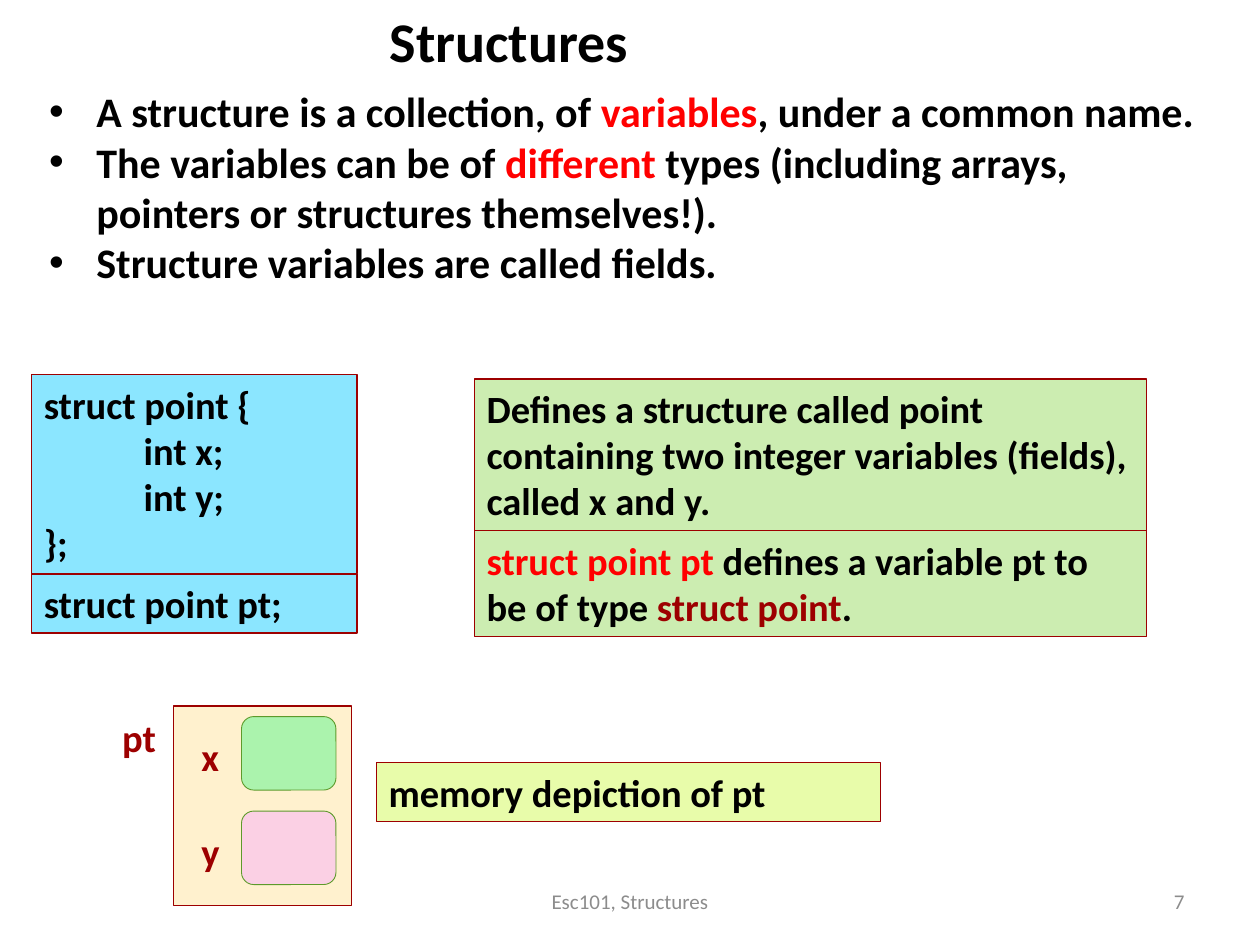
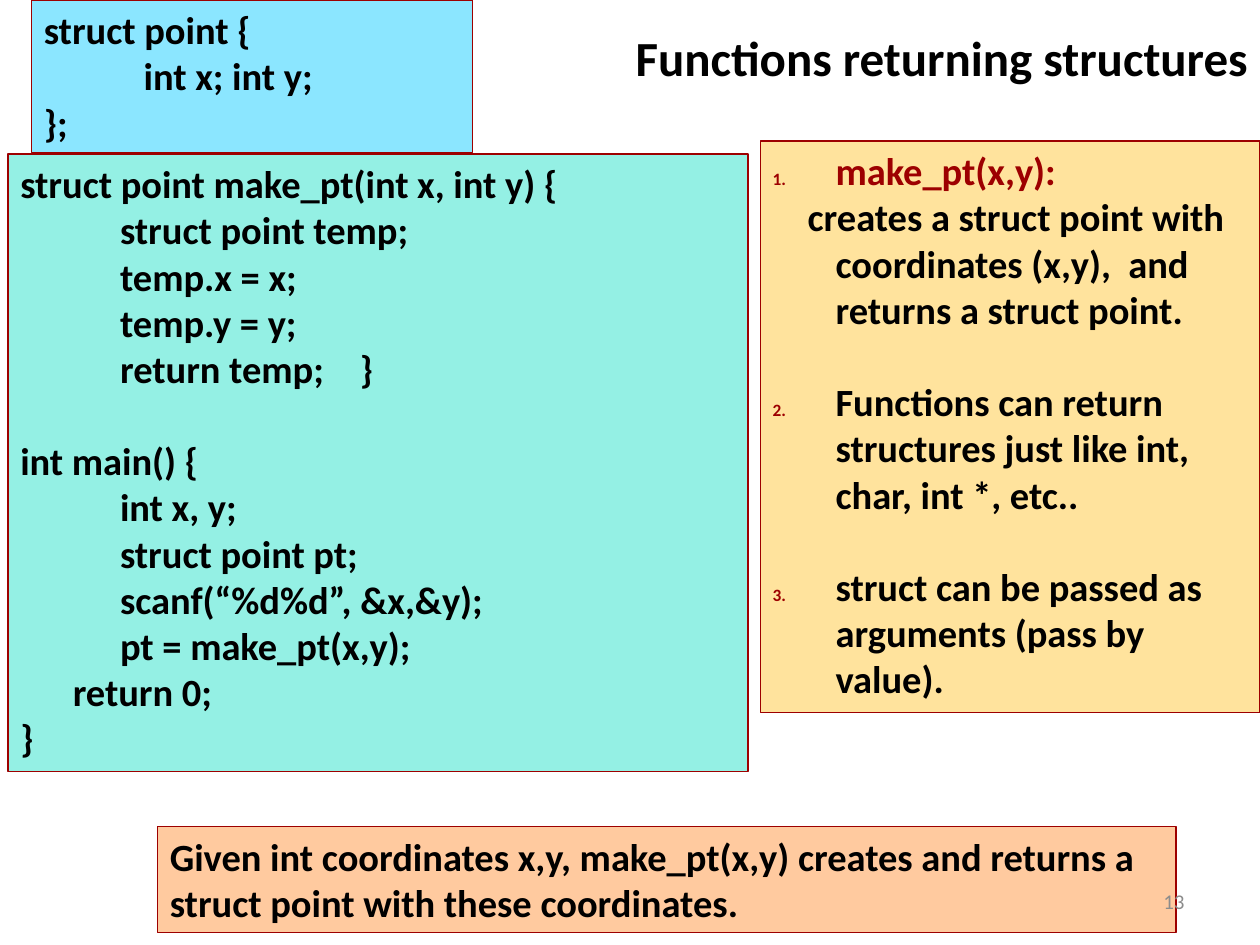
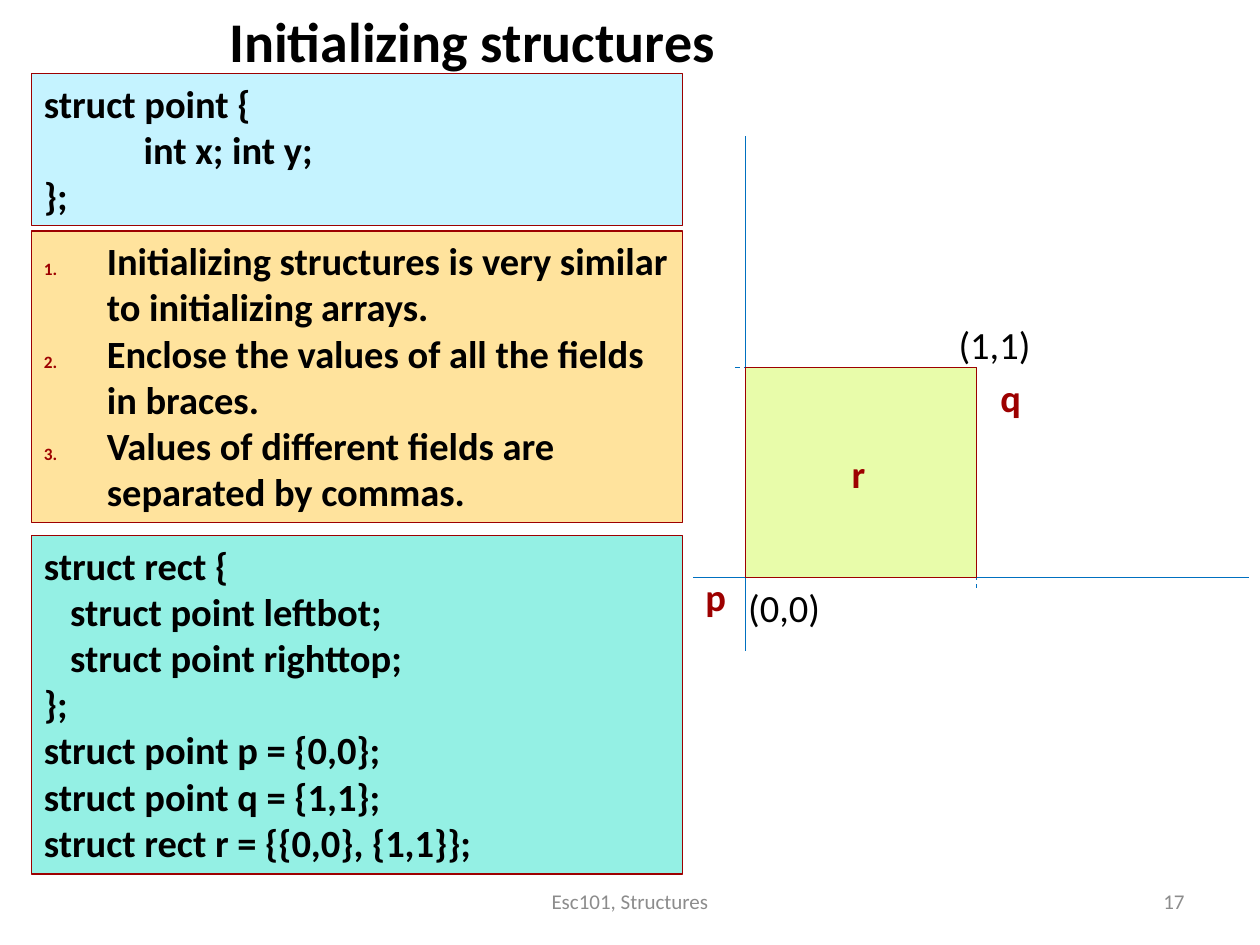
from dataclasses import dataclass
from lxml.etree import SubElement
from pptx import Presentation
from pptx.dml.color import RGBColor
from pptx.enum.dml import MSO_LINE
from pptx.enum.shapes import MSO_CONNECTOR, MSO_SHAPE
from pptx.enum.text import MSO_ANCHOR, MSO_AUTO_SIZE, PP_ALIGN
from pptx.oxml.ns import qn
from pptx.util import Pt


@dataclass(frozen=True)
class Theme:
    font: str = "Calibri"
    black: str = "000000"
    red: str = "FF0000"
    maroon: str = "9D0000"
    gray: str = "8C8C8C"
    blue: str = "0070C0"
    leaf: str = "5D9A2B"
    sky: str = "8BE6FF"
    pale_sky: str = "C5F3FF"
    green: str = "CCEDB1"
    teal: str = "94F0E4"
    amber: str = "FFE39D"
    cream: str = "FFF1CE"
    peach: str = "FFCA9F"
    lime: str = "E8FCAA"
    mint: str = "ABF3AD"
    pink: str = "FBD0E4"
    title: int = 32
    small_title: int = 28
    bullet: int = 24
    body: int = 22
    footer: int = 12
    line_height: float = 26.6
    padding: float = 7.2
    border: float = 0.75
    thin: float = 0.5


@dataclass(frozen=True)
class Line:
    runs: tuple
    tabs: tuple = ()
    marker: str = ""
    start: int = 1
    margin: float = 0
    indent: float = 0
    before: float = 0


theme = Theme()
CODE_TABS = (57, 194)


def code(*texts, tabs=CODE_TABS):
    return [Line(((text, theme.black),), tabs=tabs if "\t" in text else ()) for text in texts]


def numbered(text, color=theme.black, start=1, before=0):
    return Line(((text, color),), marker="number", start=start, margin=36, indent=-36, before=before)


def bullet(*runs):
    return Line(runs, marker="dot", margin=27, indent=-27)


FOOTER = "Esc101, Structures"
POINT = code("struct point {", "\tint x; int y;", "};")

SLIDES = [
    {
        "title": ("Structures", 186, 0, 210, theme.title, PP_ALIGN.CENTER),
        "number": "7",
        "footer": True,
        "boxes": [
            (271, 216.5, 384, 3, theme.green, code(
                "Defines a structure called point containing two integer variables (fields), called x and y.")),
            (18, 214, 186, 4, theme.sky, code("struct point {", "\tint x;", "\tint y;", "};")),
            (18, 328, 186, 1, theme.sky, code("struct point pt;")),
            (271, 303.3, 384, 2, theme.green, [Line((
                ("struct point pt", theme.red), (" defines a variable pt to be of type ", theme.black),
                ("struct point", theme.maroon), (".", theme.black)))]),
            (215, 435.8, 288, 1, theme.lime, code("memory depiction of pt")),
        ],
    },
    {
        "title": ("Functions returning structures", 264, 12, 456, theme.small_title, PP_ALIGN.RIGHT),
        "number": "13",
        "footer": False,
        "boxes": [
            (18, 0, 252, 3, theme.sky, POINT),
            (4.5, 88, 423, 13, theme.teal, [
                *code("struct point make_pt(int x, int y) {", "\tstruct point temp;", "\ttemp.x = x;",
                      "\ttemp.y = y;", "\treturn temp;\t}"),
                Line((("int main() {", theme.black),), before=26.4),
                *code("\tint x, y;", "\tstruct point pt;", "\tscanf(“%d%d”, &x,&y);", "\tpt = make_pt(x,y);"),
                *code("\treturn 0;", tabs=(30,)),
                *code("}"),
            ]),
            (434.4, 80.6, 285.6, 12, theme.amber, [
                numbered("make_pt(x,y):", theme.maroon),
                Line((("creates a struct point with coordinates (x,y),  and returns a struct point.",
                       theme.black),), margin=36, indent=-16),
                numbered("Functions can return structures just like int, char, int *, etc..", start=2, before=26.4),
                numbered("struct can be passed as arguments (pass by value).", start=2, before=26.4),
            ]),
            (90, 472.4, 582, 2, theme.peach, code(
                "Given int coordinates x,y, make_pt(x,y) creates and returns a struct point with these coordinates.")),
        ],
    },
    {
        "title": ("Initializing structures", 0, 0, 540, theme.title, PP_ALIGN.CENTER),
        "number": "17",
        "footer": True,
        "boxes": [
            (18, 42, 372, 3, theme.pale_sky, POINT),
            (18, 132, 372, 6, theme.amber, [
                numbered("Initializing structures is very similar to initializing arrays."),
                numbered("Enclose the values of all the fields in braces."),
                numbered("Values of different fields are separated by commas."),
            ]),
            (18, 306, 372, 7, theme.teal, [
                *code("struct rect {"),
                *code("\tstruct point leftbot;", "\tstruct point righttop;", tabs=(15,)),
                *code("};", "struct point p = {0,0};", "struct point q = {1,1};",
                      "struct rect r = {{0,0}, {1,1}};"),
            ]),
        ],
    },
]

BULLETS = [
    bullet(("A structure is a collection, of ", theme.black), ("variables", theme.red),
           (", under a common name.", theme.black)),
    bullet(("The variables can be of ", theme.black), ("different", theme.red),
           (" types (including arrays, pointers or structures themselves!).", theme.black)),
    bullet(("Structure variables are called fields.", theme.black)),
]
FIELDS = [("x", theme.mint), ("y", theme.pink)]
ORIGIN = (426, 330)
CORNER = (558, 210)
PLOT_LABELS = [
    ("p", 396, 324, 26, theme.maroon, True),
    ("(0,0)", 420.5, 330, 55.5, theme.black, False),
    ("(1,1)", 540.7, 180, 56, theme.black, False),
    ("q", 564.5, 210, 26, theme.maroon, True),
    ("r", 479.5, 253.5, 22.3, theme.maroon, True),
]


def points(*lengths):
    return [Pt(length) for length in lengths]


def format_paragraph(paragraph, line):
    properties = paragraph._p.get_or_add_pPr()
    if line.before:
        paragraph.space_before = Pt(line.before)
    if line.margin:
        properties.set("marL", str(Pt(line.margin)))
        properties.set("indent", str(Pt(line.indent)))
    if line.marker == "number":
        color = SubElement(properties, qn("a:buClr"))
        SubElement(color, qn("a:srgbClr"), val=theme.maroon)
        SubElement(properties, qn("a:buSzPct"), val="45000")
        number = SubElement(properties, qn("a:buAutoNum"), type="arabicPeriod")
        if line.start > 1:
            number.set("startAt", str(line.start))
    elif line.marker == "dot":
        SubElement(properties, qn("a:buFont"), typeface="Arial")
        SubElement(properties, qn("a:buChar"), char="•")
    if line.tabs:
        stops = SubElement(properties, qn("a:tabLst"))
        for stop in line.tabs:
            SubElement(stops, qn("a:tab"), pos=str(Pt(stop)), algn="l")


def write(shape, lines, size=theme.body, bold=True, align=PP_ALIGN.LEFT, wrap=True, grow=True):
    frame = shape.text_frame
    frame.word_wrap = wrap
    frame.auto_size = MSO_AUTO_SIZE.SHAPE_TO_FIT_TEXT if grow else MSO_AUTO_SIZE.NONE
    frame.vertical_anchor = MSO_ANCHOR.TOP if grow else MSO_ANCHOR.MIDDLE
    for index, line in enumerate(lines):
        paragraph = frame.add_paragraph() if index else frame.paragraphs[0]
        paragraph.alignment = align
        format_paragraph(paragraph, line)
        for text, color in line.runs:
            run = paragraph.add_run()
            run.text = text
            run.font.name = theme.font
            run.font.size = Pt(size)
            run.font.bold = bold
            run.font.color.rgb = RGBColor.from_string(color)


def add_text(shapes, bounds, text, color=theme.black, **style):
    write(shapes.add_textbox(*points(*bounds)), [Line(((text, color),))], **style)


def add_block(shapes, bounds, fill, line=theme.maroon, width=theme.border, kind=MSO_SHAPE.RECTANGLE):
    shape = shapes.add_shape(kind, *points(*bounds))
    shape.shadow.inherit = False
    shape.fill.solid()
    shape.fill.fore_color.rgb = RGBColor.from_string(fill)
    shape.line.color.rgb = RGBColor.from_string(line)
    shape.line.width = Pt(width)
    return shape


def add_line(shapes, ends, dashed=False):
    connector = shapes.add_connector(MSO_CONNECTOR.STRAIGHT, *points(*ends))
    connector.line.color.rgb = RGBColor.from_string(theme.blue)
    connector.line.width = Pt(theme.border)
    if dashed:
        connector.line.dash_style = MSO_LINE.DASH
    SubElement(connector._element.spPr, qn("a:effectLst"))


def add_memory(shapes):
    group = shapes.add_group_shape().shapes
    add_block(group, (99, 403.5, 102, 114), theme.cream)
    for index, (name, fill) in enumerate(FIELDS):
        top = 409.5 + 54 * index
        add_block(group, (138, top, 54, 42), fill, theme.leaf, theme.thin, MSO_SHAPE.ROUNDED_RECTANGLE)
        add_text(group, (108, top + 6, 24.5, 33.8), name, theme.maroon, wrap=False)
    add_text(group, (62.7, 404.6, 33.8, 33.8), "pt", theme.maroon, wrap=False)


def add_plot(shapes):
    left, bottom = ORIGIN
    right, top = CORNER
    add_line(shapes, (left, 78, left, 372))
    add_line(shapes, (396, bottom, 714, bottom))
    add_line(shapes, (right, top, right, bottom + 6), dashed=True)
    add_line(shapes, (left - 6, top, right, top), dashed=True)
    add_block(shapes, (left, top, right - left, bottom - top), theme.lime, width=theme.thin)
    for text, label_left, label_top, width, color, bold in PLOT_LABELS:
        add_text(shapes, (label_left, label_top, width, 33.8), text, color, bold=bold, wrap=False)


def add_structure_overview(shapes):
    add_memory(shapes)
    write(shapes.add_textbox(*points(21, 45.4, 681, 123.8)), BULLETS, theme.bullet)


def add_footer(shapes, number, has_footer):
    style = {"color": theme.gray, "size": theme.footer, "bold": False, "grow": False}
    add_text(shapes, (516, 500.4, 168, 28.8), number, align=PP_ALIGN.RIGHT, **style)
    if has_footer:
        add_text(shapes, (246, 500.4, 228, 28.8), FOOTER, align=PP_ALIGN.CENTER, **style)


presentation = Presentation()
presentation.slide_width, presentation.slide_height = points(720, 540)
drawings = [add_structure_overview, None, add_plot]

for content, draw in zip(SLIDES, drawings):
    shapes = presentation.slides.add_slide(presentation.slide_layouts[6]).shapes
    title, left, top, width, size, align = content["title"]
    add_text(shapes, (left, top, width, size * 1.2 + theme.padding), title, size=size, align=align)
    for left, top, width, rows, fill, lines in content["boxes"]:
        height = rows * theme.line_height + theme.padding
        write(add_block(shapes, (left, top, width, height), fill), lines)
    if draw:
        draw(shapes)
    add_footer(shapes, content["number"], content["footer"])

presentation.save("out.pptx")
